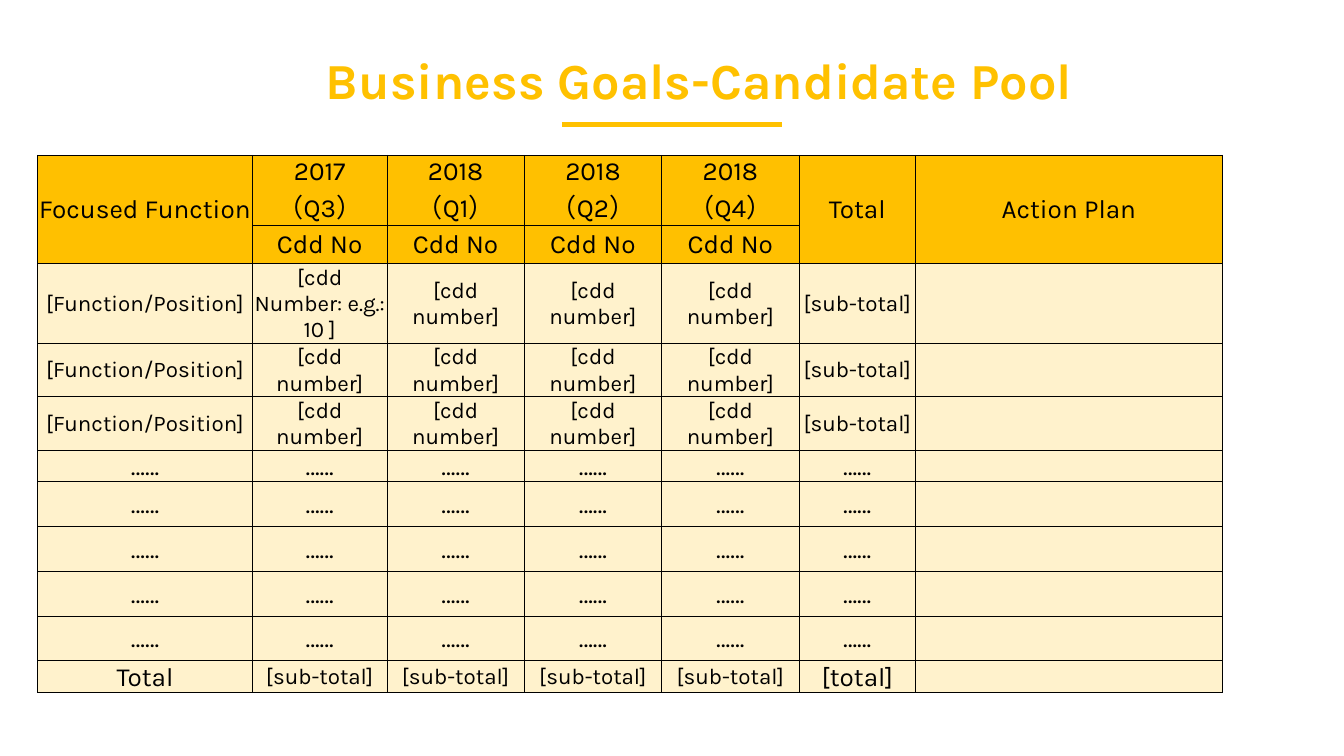
from lxml import etree
from pptx import Presentation
from pptx.dml.color import RGBColor
from pptx.enum.shapes import MSO_CONNECTOR
from pptx.enum.text import MSO_ANCHOR, MSO_AUTO_SIZE, PP_ALIGN
from pptx.oxml import parse_xml
from pptx.oxml.ns import nsdecls, qn
from pptx.util import Pt

STRAIGHT = MSO_CONNECTOR.STRAIGHT
TOP, MIDDLE = MSO_ANCHOR.TOP, MSO_ANCHOR.MIDDLE
NO_AUTOFIT = MSO_AUTO_SIZE.NONE
CENTER = PP_ALIGN.CENTER

FONT = "Karla"
ACCENT = RGBColor(0xFF, 0xC1, 0x00)
HEADER_FILL = RGBColor(0xFF, 0xC0, 0x00)
BODY_FILL = RGBColor(0xFF, 0xF2, 0xCC)
BLACK = RGBColor(0x00, 0x00, 0x00)
LARGE, SMALL = 14, 12

COLUMN_WIDTHS = [115.2, 72, 73.6, 73.6, 73.6, 62.4, 164.4]
ROW_HEIGHTS = [37.5, 20.4, 42.8, 28.5, 28.7, 16.6] + [24] * 4 + [16.6]
HEADER_ROWS = 2
MERGED_COLUMNS = [0, 5, 6]

NUMBER = "[cdd number]"
SUBTOTAL = "[sub-total]"
POSITION_ROW = ["[Function/Position]"] + [NUMBER] * 4 + [SUBTOTAL, ""]
ROWS = [
    ["Focused Function", "2017\n（Q3）", "2018\n（Q1）", "2018\n（Q2）",
     "2018\n（Q4）", "Total", "Action Plan"],
    [""] + ["Cdd No"] * 4 + ["", ""],
    ["[Function/Position]", "[cdd Number: e.g.: 10 ]"] + [NUMBER] * 3 + [SUBTOTAL, ""],
    POSITION_ROW,
    POSITION_ROW,
    *[["……"] * 6 + [""] for _ in range(5)],
    ["Total"] + [SUBTOTAL] * 4 + ["[total]", ""],
]
SMALL_TEXTS = {"", NUMBER, SUBTOTAL, POSITION_ROW[0], ROWS[2][1]}


def format_paragraph(paragraph, size, color, bold=False):
    paragraph.alignment = CENTER
    font = paragraph.font
    font.name, font.size, font.bold = FONT, Pt(size), bold
    font.color.rgb = color


def add_title(slide, left, top, width, height):
    title = slide.shapes.title
    title.left, title.top = Pt(left), Pt(top)
    title.width, title.height = Pt(width), Pt(height)
    frame = title.text_frame
    frame.text = "Business Goals-Candidate Pool"
    frame.word_wrap = True
    frame.auto_size = NO_AUTOFIT
    frame.vertical_anchor = TOP
    paragraph = frame.paragraphs[0]
    paragraph.line_spacing = 0.9
    paragraph.space_before = Pt(7.5)
    format_paragraph(paragraph, 27, ACCENT, bold=True)


def add_underline(slide, left, top, width):
    line = slide.shapes.add_connector(
        STRAIGHT, Pt(left), Pt(top), Pt(left + width), Pt(top))
    line.line.color.rgb = ACCENT
    line.line.width = Pt(3)
    etree.SubElement(line._element.spPr, qn("a:effectLst"))


def add_borders(cell):
    properties = cell._tc.get_or_add_tcPr()
    for index, side in enumerate(["lnL", "lnR", "lnT", "lnB"]):
        properties.insert(index, parse_xml(
            f'<a:{side} {nsdecls("a")} w="{Pt(0.5)}"><a:solidFill>'
            f'<a:srgbClr val="{BLACK}"/></a:solidFill></a:{side}>'))


def format_cell(cell, text, fill):
    cell.text = text
    cell.vertical_anchor = MIDDLE
    cell.margin_left = cell.margin_right = cell.margin_top = Pt(0.6)
    cell.margin_bottom = Pt(0)
    cell.fill.solid()
    cell.fill.fore_color.rgb = fill
    add_borders(cell)
    for paragraph in cell.text_frame.paragraphs:
        format_paragraph(paragraph, SMALL if text in SMALL_TEXTS else LARGE, BLACK)


def add_goals_table(slide, left, top):
    table = slide.shapes.add_table(
        len(ROWS), len(COLUMN_WIDTHS), Pt(left), Pt(top),
        Pt(sum(COLUMN_WIDTHS)), Pt(sum(ROW_HEIGHTS))).table
    table.first_row = table.horz_banding = False
    for column, width in zip(table.columns, COLUMN_WIDTHS):
        column.width = Pt(width)
    for row, height in zip(table.rows, ROW_HEIGHTS):
        row.height = Pt(height)

    # Cell contents
    for row_index, texts in enumerate(ROWS):
        fill = HEADER_FILL if row_index < HEADER_ROWS else BODY_FILL
        for column_index, text in enumerate(texts):
            format_cell(table.cell(row_index, column_index), text, fill)

    # Headings that span both header rows
    for column_index in MERGED_COLUMNS:
        table.cell(0, column_index).merge(table.cell(HEADER_ROWS - 1, column_index))


def main():
    presentation = Presentation()
    presentation.slide_width, presentation.slide_height = Pt(720), Pt(405)
    title_only = presentation.slide_layouts[5]
    slide = presentation.slides.add_slide(title_only)
    add_underline(slide, 301, 66.8, 118)
    add_title(slide, 144.7, 26.6, 459.4, 66.2)
    add_goals_table(slide, 20.1, 83.2)
    presentation.save("out.pptx")


if __name__ == "__main__":
    main()
